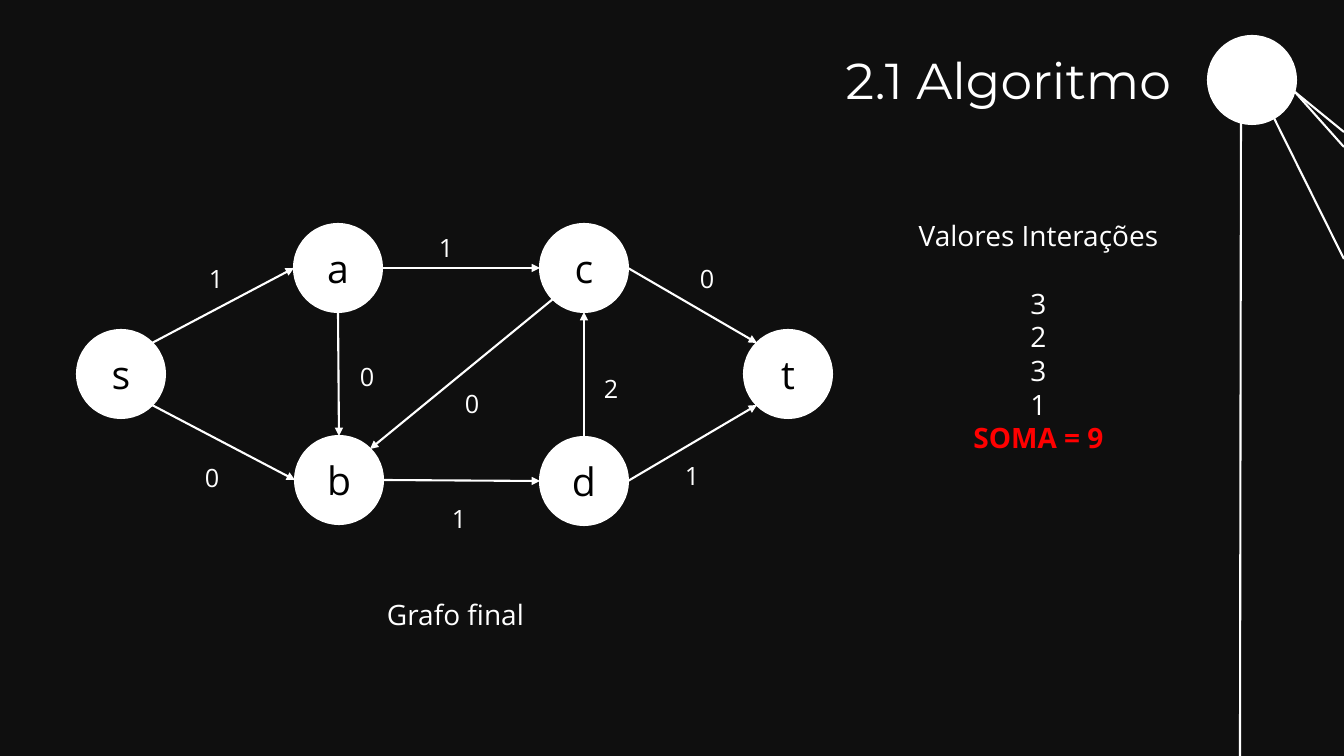
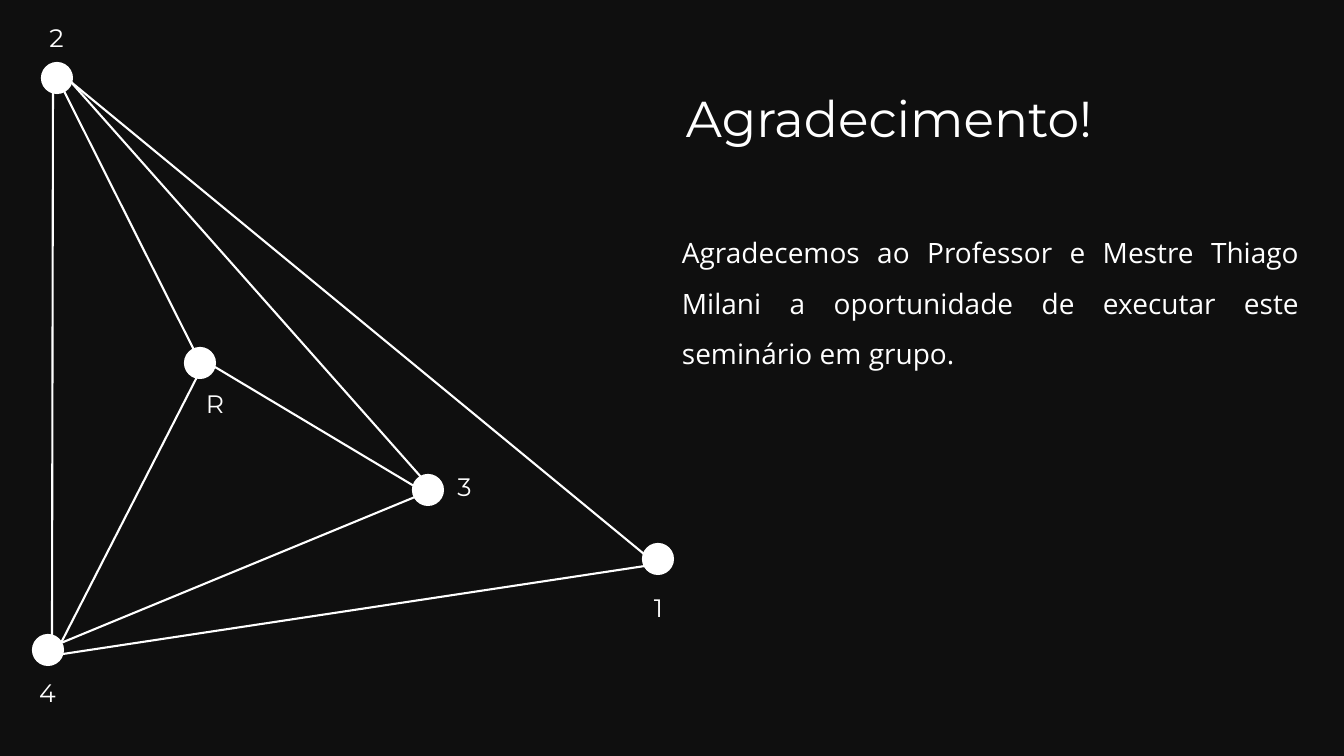
from pptx import Presentation
from pptx.dml.color import RGBColor
from pptx.enum.shapes import MSO_CONNECTOR, MSO_SHAPE
from pptx.enum.text import MSO_ANCHOR, PP_ALIGN
from pptx.oxml.ns import qn
from pptx.util import Emu, Pt
from lxml.etree import SubElement

WIDTH, HEIGHT = 1344, 756
SCALE = 12192000 / WIDTH
LEFT, CENTER, RIGHT, JUSTIFY = PP_ALIGN.LEFT, PP_ALIGN.CENTER, PP_ALIGN.RIGHT, PP_ALIGN.JUSTIFY


def px(length):
    return Emu(round(length * SCALE))


def color(value):
    return RGBColor.from_string(value)


class GraphDeck:
    background = "0F0F0F"
    white = "FFFFFF"
    black = "000000"
    red = "FF0000"
    title_font = "Montserrat"
    body_font = "Open Sans"
    line_width = Pt(1.5)

    def __init__(self):
        self.deck = Presentation()
        self.deck.slide_width = px(WIDTH)
        self.deck.slide_height = px(HEIGHT)
        self.page = None

    def add_page(self):
        self.page = self.deck.slides.add_slide(self.deck.slide_layouts[6])
        fill = self.page.background.fill
        fill.solid()
        fill.fore_color.rgb = color(self.background)

    def add_span(self, para, text, size, font, ink, align, bold=False):
        para.alignment = align
        span = para.add_run()
        span.text = text
        span.font.size = Pt(size)
        span.font.name = font
        span.font.bold = bold
        span.font.color.rgb = color(ink)

    def text_frame(self, left, top, width, height):
        box = self.page.shapes.add_textbox(px(left), px(top), px(width), px(height))
        box.text_frame.word_wrap = True
        return box.text_frame

    def text(self, text, left, top, width, height, size=18, font=body_font, align=LEFT, spacing=None):
        para = self.text_frame(left, top, width, height).paragraphs[0]
        if spacing:
            para.line_spacing = spacing
        self.add_span(para, text, size, font, self.white, align)

    def title(self, text, left, top, width, align=LEFT):
        self.text(text, left, top, width, 72, 36, self.title_font, align)

    def value_list(self, heading, values, total, left, top, width, height):
        frame = self.text_frame(left, top, width, height)
        self.add_span(frame.paragraphs[0], heading, 20, self.body_font, self.white, CENTER)
        for index, value in enumerate(values):
            para = frame.add_paragraph()
            if index == 0:
                para.space_before = Pt(24)
            self.add_span(para, value, 20, self.body_font, self.white, CENTER)
        self.add_span(frame.add_paragraph(), total, 20, self.body_font, self.red, CENTER, True)

    def node(self, center, radius, label=None):
        x, y = center
        circle = self.page.shapes.add_shape(
            MSO_SHAPE.OVAL, px(x - radius), px(y - radius), px(2 * radius), px(2 * radius))
        circle.shadow.inherit = False
        circle.fill.solid()
        circle.fill.fore_color.rgb = color(self.white)
        circle.line.color.rgb = color(self.white)
        circle.line.width = self.line_width
        if label:
            circle.text_frame.vertical_anchor = MSO_ANCHOR.MIDDLE
            self.add_span(circle.text_frame.paragraphs[0], label, 28, self.body_font, self.black, CENTER)

    def edge(self, start, end, arrow=False):
        connector = self.page.shapes.add_connector(
            MSO_CONNECTOR.STRAIGHT, px(start[0]), px(start[1]), px(end[0]), px(end[1]))
        connector.line.color.rgb = color(self.white)
        connector.line.width = self.line_width
        properties = connector._element.spPr
        if arrow:
            SubElement(properties.find(qn("a:ln")), qn("a:tailEnd"), type="triangle")
        SubElement(properties, qn("a:effectLst"))

    def save(self):
        self.deck.save("out.pptx")


NODE_RADIUS = 44
FLOW_NODES = {
    "s": (121, 374), "a": (338, 268), "b": (339, 480),
    "d": (584, 481), "c": (584, 268), "t": (788, 374),
}
SIDES = {
    "top": (0, -1), "bottom": (0, 1), "left": (-1, 0), "right": (1, 0),
    "top left": (-0.71, -0.71), "top right": (0.71, -0.71),
    "bottom left": (-0.71, 0.71), "bottom right": (0.71, 0.71),
}
FLOW_EDGES = [
    ("s", "top right", "a", "left", "1", 199, 258),
    ("a", "right", "c", "left", "1", 429, 227),
    ("a", "bottom", "b", "top", "0", 350, 356),
    ("s", "bottom right", "b", "left", "0", 195, 457),
    ("c", "bottom left", "b", "top right", "0", 455, 383),
    ("b", "right", "d", "left", "1", 442, 498),
    ("d", "top", "c", "bottom", "2", 594, 368),
    ("c", "right", "t", "top left", "0", 690, 258),
    ("d", "right", "t", "bottom left", "1", 675, 455),
]
HUB = (1252, 80)
HUB_EDGES = [
    ((1241, 122), (1240, HEIGHT)),
    ((1274, 118), (WIDTH, 259)),
    ((1295, 92), (WIDTH, 147)),
    ((1295, 92), (WIDTH, 132)),
]
SMALL_RADIUS = 15
SMALL_NODES = [
    ("1", (658, 559), 640, 587),
    ("2", (57, 78), 38, 17),
    ("3", (428, 490), 446, 466),
    ("R", (200, 363), 196, 383),
    ("4", (48, 650), 29, 672),
]
SMALL_EDGES = [
    ((53, 92), (52, 636)),
    ((64, 91), (194, 350)),
    ((197, 377), (61, 643)),
    ((215, 367), (414, 486)),
    ((415, 497), (61, 643)),
    ((63, 654), (645, 566)),
    ((421, 477), (71, 82)),
    ((71, 82), (644, 554)),
]


def anchor(name, side):
    return tuple(round(middle + NODE_RADIUS * shift)
                 for middle, shift in zip(FLOW_NODES[name], SIDES[side]))


def algorithm_page(graph):
    graph.add_page()
    graph.node(HUB, NODE_RADIUS)
    for start, end in HUB_EDGES:
        graph.edge(start, end)
    graph.title("2.1 Algoritmo", 804, 44, 377, RIGHT)
    for name, center in FLOW_NODES.items():
        graph.node(center, NODE_RADIUS, name)
    for start, start_side, end, end_side, weight, left, top in FLOW_EDGES:
        graph.edge(anchor(start, start_side), anchor(end, end_side), arrow=True)
        graph.text(weight, left, top, 49, 40)
    graph.text("Grafo final", 294, 593, 323, 44, 20, align=CENTER)
    graph.value_list("Valores Interações", ["3", "2", "3", "1"], "SOMA = 9", 877, 214, 323, 248)


def thanks_page(graph):
    graph.add_page()
    graph.title("Agradecimento!", 676, 82, 632)
    for start, end in SMALL_EDGES:
        graph.edge(start, end)
    for name, center, left, top in SMALL_NODES:
        graph.node(center, SMALL_RADIUS)
        graph.text(name, left, top, 37, 40, font=graph.title_font, align=CENTER)
    graph.text(
        "Agradecemos ao Professor e Mestre Thiago Milani a oportunidade de executar este seminário em grupo.",
        672, 214, 637, 157, 20, align=JUSTIFY, spacing=1.5)


def main():
    graph = GraphDeck()
    algorithm_page(graph)
    thanks_page(graph)
    graph.save()


if __name__ == "__main__":
    main()
